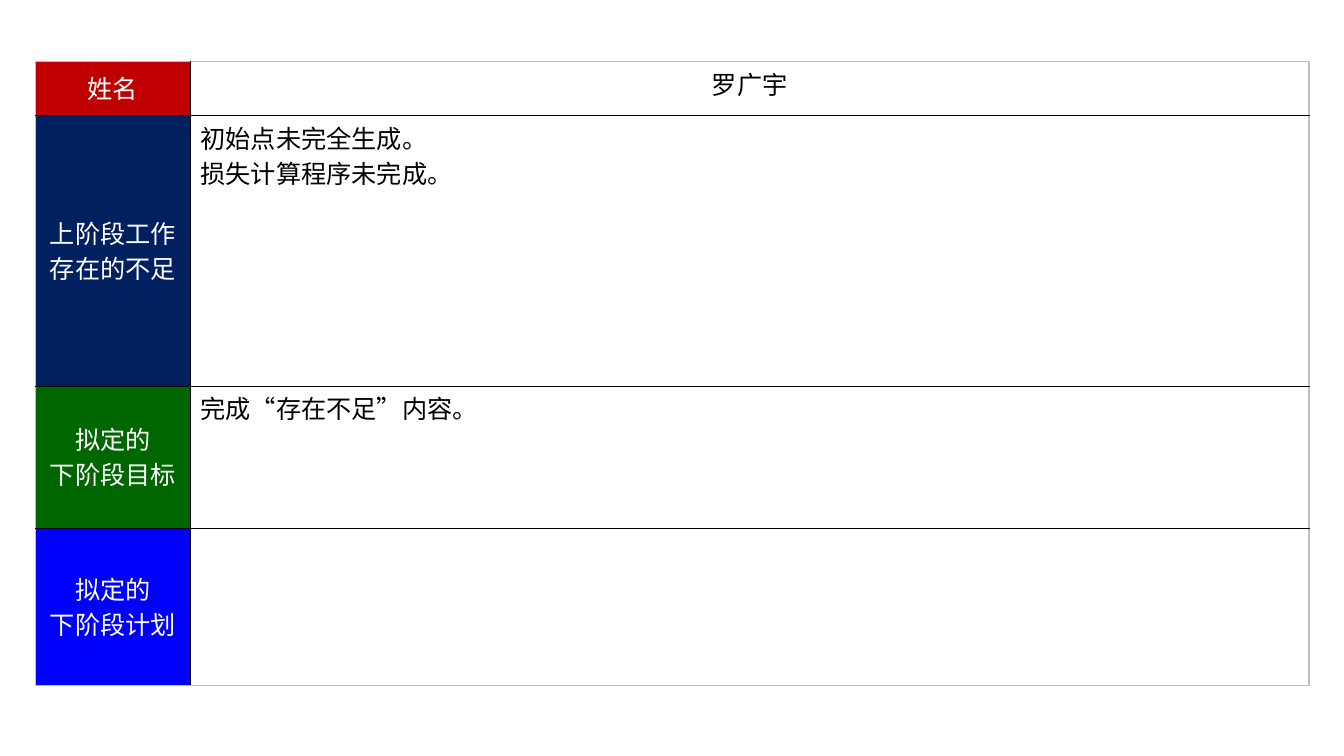
from lxml.etree import SubElement
from pptx import Presentation
from pptx.dml.color import RGBColor
from pptx.enum.text import MSO_ANCHOR, PP_ALIGN
from pptx.oxml.ns import qn
from pptx.util import Cm, Pt

FONT = "Noto Sans CJK SC"
INNER, OUTER = "000000", "BFBFBF"
COLUMN_WIDTHS = (3.91, 28.19)

# label lines, label fill, content lines, content alignment, row height in cm
ROWS = [
    (["姓名"], "C00000", ["罗广宇"], PP_ALIGN.CENTER, 1.37),
    (["上阶段工作", "存在的不足"], "002060",
     ["初始点未完全生成。", "损失计算程序未完成。"], PP_ALIGN.JUSTIFY, 6.81),
    (["拟定的", "下阶段目标"], "006600",
     ["完成“存在不足”内容。"], PP_ALIGN.JUSTIFY, 3.58),
    (["拟定的", "下阶段计划"], "0000FF", [], PP_ALIGN.JUSTIFY, 3.96),
]


def color(hex_text):
    """Return the colour for a hex string."""
    return RGBColor.from_string(hex_text)


def write(cell, lines, hex_text, alignment):
    """Write one paragraph per line into a cell."""
    frame = cell.text_frame
    frame.text = "\n".join(lines)
    for para in frame.paragraphs:
        para.alignment = alignment
        para.line_spacing = Pt(25)
        para.font.size = Pt(18)
        para.font.color.rgb = color(hex_text)
        para.font.name = FONT
        defaults = para._p.pPr.find(qn("a:defRPr"))
        SubElement(defaults, qn("a:ea"), typeface=FONT)


def set_borders(cell, sides):
    """Draw the borders of a cell from (tag, colour) pairs."""
    properties = cell._tc.get_or_add_tcPr()
    for index, (tag, hex_text) in enumerate(sides):
        line = properties.makeelement(qn(f"a:{tag}"), {"w": str(Pt(1))})
        fill = SubElement(line, qn("a:solidFill"))
        SubElement(fill, qn("a:srgbClr"), val=hex_text)
        properties.insert(index, line)


deck = Presentation()
deck.slide_width, deck.slide_height = Cm(33.87), Cm(19.05)
page = deck.slides.add_slide(deck.slide_layouts[6])

heights = [row[-1] for row in ROWS]
table = page.shapes.add_table(
    len(ROWS), len(COLUMN_WIDTHS), Cm(0.89), Cm(1.55),
    Cm(sum(COLUMN_WIDTHS)), Cm(sum(heights))).table
table.first_row = table.horz_banding = False
for column, width in zip(table.columns, COLUMN_WIDTHS):
    column.width = Cm(width)

last_row = len(ROWS) - 1
for index, (label, fill, content, alignment, height) in enumerate(ROWS):
    table.rows[index].height = Cm(height)
    label_cell, content_cell = table.rows[index].cells

    write(label_cell, label, "FFFFFF", PP_ALIGN.CENTER)
    label_cell.vertical_anchor = MSO_ANCHOR.MIDDLE
    label_cell.fill.solid()
    label_cell.fill.fore_color.rgb = color(fill)

    write(content_cell, content, "000000", alignment)
    content_cell.fill.background()

    top = OUTER if index == 0 else INNER
    bottom = OUTER if index == last_row else INNER
    for cell, left, right in ((label_cell, OUTER, INNER),
                              (content_cell, INNER, OUTER)):
        set_borders(cell, [("lnL", left), ("lnR", right),
                           ("lnT", top), ("lnB", bottom)])

deck.save("out.pptx")
